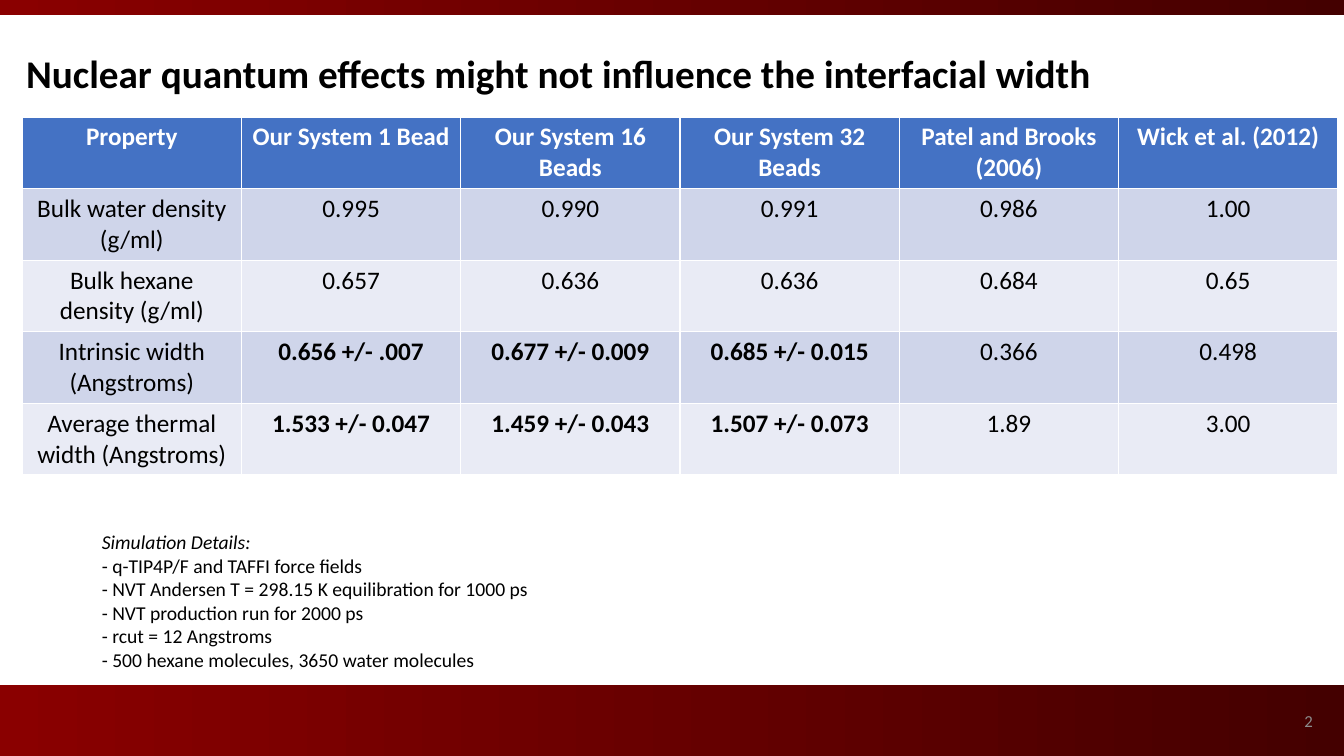
import dataclasses

import pptx
import pptx.util
import pptx.dml.color
import pptx.enum.shapes
import pptx.enum.text
from pptx.util import Inches


@dataclasses.dataclass(frozen=True)
class Theme:
    font: str = "Calibri"
    black: str = "000000"
    white: str = "FFFFFF"
    gray: str = "8C8C8C"
    red: str = "8A0000"
    dark: str = "440000"
    blue: str = "4472C4"
    bands: tuple = ("CFD5EA", "E9EBF5")
    title: int = 28
    cell: int = 18
    note: int = 14
    num: int = 12


theme = Theme()
Align = pptx.enum.text.PP_ALIGN
Anchor = pptx.enum.text.MSO_ANCHOR
color = pptx.dml.color.RGBColor.from_string


def style(para, size, tint, align=Align.LEFT, bold=False, italic=False):
    para.alignment = align
    for run in para.runs:
        run.font.name = theme.font
        run.font.size = pptx.util.Pt(size)
        run.font.color.rgb = color(tint)
        run.font.bold = bold
        run.font.italic = italic


def place(shape, left, top, width, height, anchor):
    shape.left, shape.top = Inches(left), Inches(top)
    shape.width, shape.height = Inches(width), Inches(height)
    frame = shape.text_frame
    frame.word_wrap = True
    frame.auto_size = pptx.enum.text.MSO_AUTO_SIZE.NONE
    frame.vertical_anchor = anchor
    return frame


# Slide
deck = pptx.Presentation()
deck.slide_width, deck.slide_height = Inches(13.33), Inches(7.5)
slide = deck.slides.add_slide(deck.slide_layouts[1])
shapes = slide.shapes

# Red bands at the foot and the head
for top, height in ((6.8, 0.7), (0, 0.15)):
    band = shapes.add_shape(pptx.enum.shapes.MSO_SHAPE.RECTANGLE,
                            0, Inches(top), deck.slide_width, Inches(height))
    band.shadow.inherit = False
    band.line.fill.background()
    band.fill.gradient()
    band.fill.gradient_angle = 0
    for stop, tint, spot in zip(band.fill.gradient_stops, (theme.red, theme.dark), (0, 1)):
        stop.color.rgb = color(tint)
        stop.position = spot

# Title
frame = place(shapes.title, 0.16, 0.44, 13.17, 0.57, Anchor.TOP)
frame.text = "Nuclear quantum effects might not influence the interfacial width"
style(frame.paragraphs[0], theme.title, theme.black, bold=True)

# Page number
frame = place(shapes.add_textbox(0, 0, 0, 0), 10.12, 6.95, 3, 0.4, Anchor.MIDDLE)
frame.text = "2"
style(frame.paragraphs[0], theme.num, theme.gray, Align.RIGHT)

# Table of results
rows = [
    ("Property", "Our System 1 Bead", "Our System 16 Beads", "Our System 32 Beads",
     "Patel and Brooks (2006)", "Wick et al. (2012)"),
    ("Bulk water density (g/ml)", "0.995", "0.990", "0.991", "0.986", "1.00"),
    ("Bulk hexane density (g/ml)", "0.657", "0.636", "0.636", "0.684", "0.65"),
    ("Intrinsic width (Angstroms)", "0.656 +/- .007", "0.677 +/- 0.009",
     "0.685 +/- 0.015", "0.366", "0.498"),
    ("Average thermal width (Angstroms)", "1.533 +/- 0.047", "1.459 +/- 0.043",
     "1.507 +/- 0.073", "1.89", "3.00"),
]
table = shapes.add_table(len(rows), len(rows[0]), Inches(0.22), Inches(1.16),
                         Inches(13.05), Inches(0.71 * len(rows))).table
for r, row in enumerate(rows):
    head = r == 0
    for c, text in enumerate(row):
        cell = table.cell(r, c)
        cell.fill.solid()
        cell.fill.fore_color.rgb = color(theme.blue if head else theme.bands[(r - 1) % 2])
        cell.text_frame.text = text
        style(cell.text_frame.paragraphs[0], theme.cell,
              theme.white if head else theme.black, Align.CENTER,
              bold=head or "+/-" in text)

# Simulation details
notes = [
    "Simulation Details:",
    "- q-TIP4P/F and TAFFI force fields",
    "- NVT Andersen T = 298.15 K equilibration for 1000 ps",
    "- NVT production run for 2000 ps",
    "- rcut = 12 Angstroms",
    "- 500 hexane molecules, 3650 water molecules",
]
frame = place(slide.placeholders[1], 0.91, 5.21, 9.39, 1.51, Anchor.TOP)
frame.text = "\n".join(notes)
for i, para in enumerate(frame.paragraphs):
    style(para, theme.note, theme.black, italic=i == 0)
    para.space_before = pptx.util.Pt(0)
    para.line_spacing = 1.0
    # Plain lines without the bullet of the layout
    props = para._p.get_or_add_pPr()
    props.set("marL", "0")
    props.set("indent", "0")
    props.append(pptx.oxml.parse_xml(
        '<a:buNone xmlns:a="http://schemas.openxmlformats.org/drawingml/2006/main"/>'))

deck.save("out.pptx")
